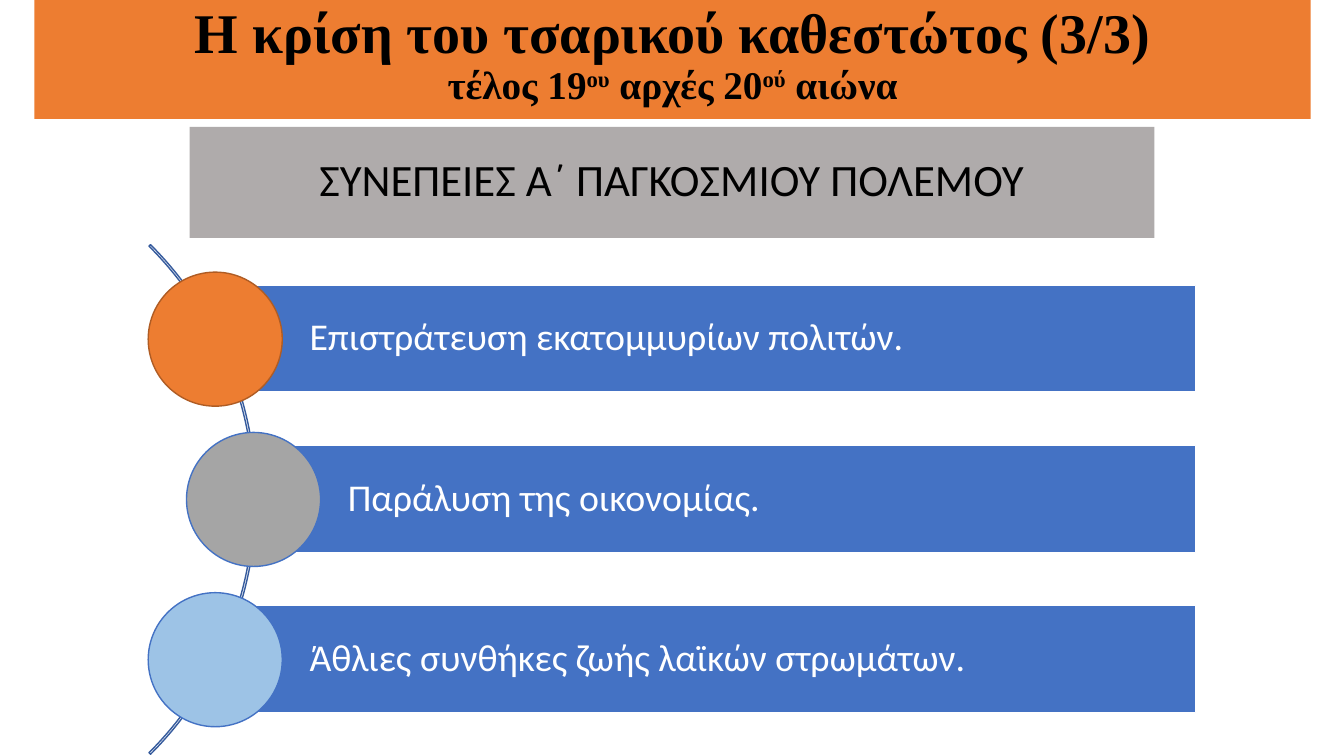
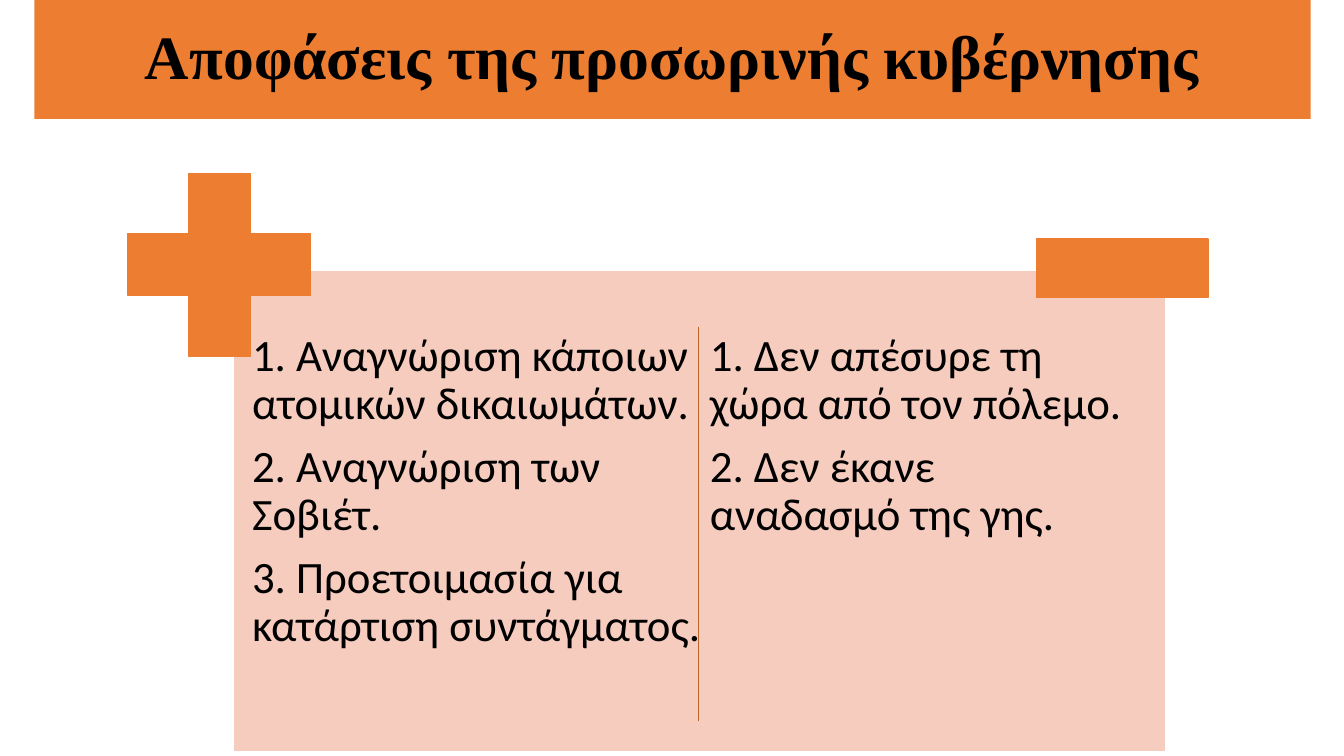
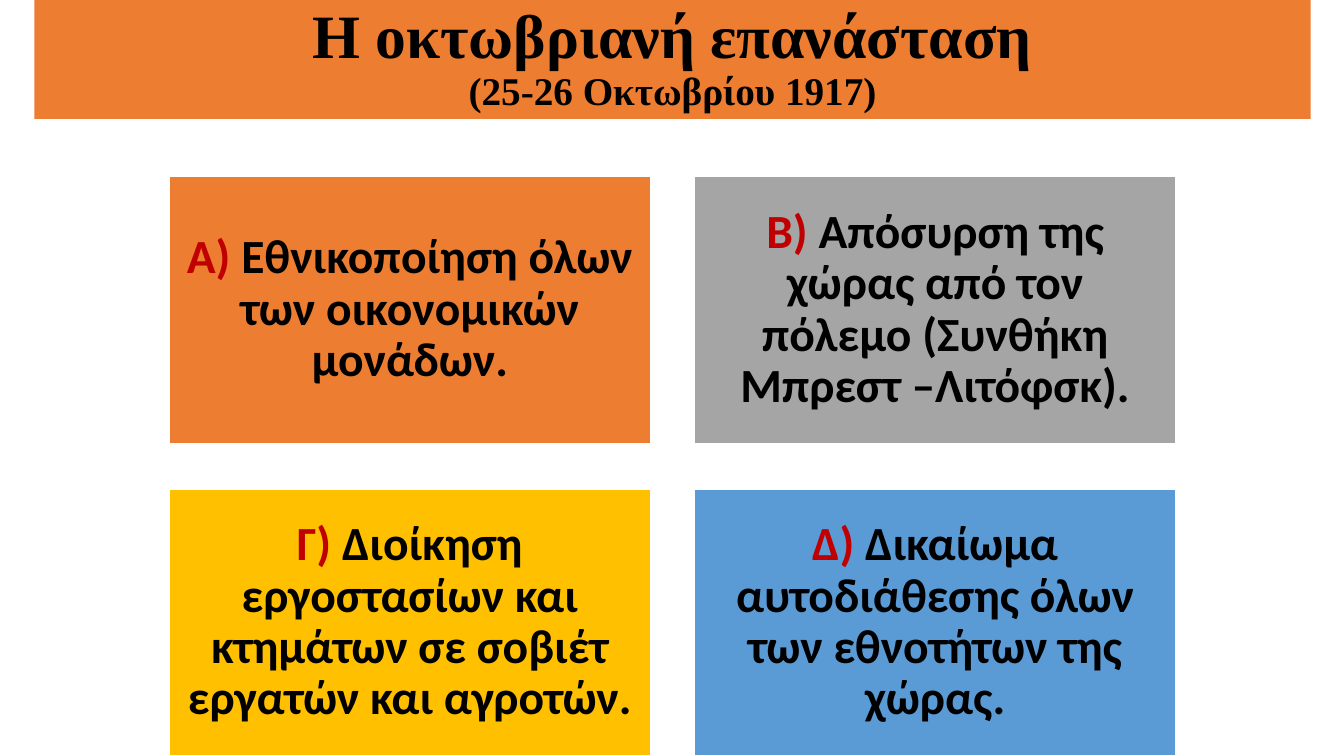
from lxml.etree import SubElement
from pptx import Presentation
from pptx.dml.color import RGBColor
from pptx.enum.shapes import MSO_CONNECTOR, MSO_SHAPE
from pptx.enum.text import MSO_ANCHOR, PP_ALIGN
from pptx.oxml.ns import qn
from pptx.util import Pt

PX = 9144
SLIDE_SIZE = (1333, 750)
TITLE_BAND = (34, 0, 1266, 118)
TITLE_FONT, BODY_FONT = "Times New Roman", "Calibri"
COLORS = {
    "black": "000000", "white": "FFFFFF", "red": "C00000",
    "orange": "ED7D31", "gray": "A5A5A5", "warm_gray": "AFABAB",
    "blue": "4472C4", "pale_blue": "9DC3E6", "sky": "5B9BD5",
    "gold": "FFC000", "pink": "F6CCBE",
    "arc_line": "365B9D", "rust": "AF5C24", "divider": "BE6427",
}

CRISIS_TITLE = [
    ("Η κρίση του τσαρικού καθεστώτος (3/3)", {"size": 40}),
    "\n",
    "τέλος 19",
    ("ου", {"raised": True}),
    " αρχές 20",
    ("ού", {"raised": True}),
    " αιώνα",
]
WAR_HEADING = "ΣΥΝΕΠΕΙΕΣ Α΄ ΠΑΓΚΟΣΜΙΟΥ ΠΟΛΕΜΟΥ"
CONSEQUENCES = [
    ("Επιστράτευση εκατομμυρίων πολιτών.", 147, "orange", "rust"),
    ("Παράλυση της οικονομίας.", 185, "gray", "blue"),
    ("Άθλιες συνθήκες ζωής λαϊκών στρωμάτων.", 147, "pale_blue", "blue"),
]

DECISIONS_TITLE = ["Αποφάσεις της προσωρινής κυβέρνησης"]
DECISIONS = [
    ((243, 323, 461, 409), [
        "1. Αναγνώριση κάποιων ατομικών δικαιωμάτων.",
        "2. Αναγνώριση των Σοβιέτ.",
        "3. Προετοιμασία για κατάρτιση συντάγματος.",
    ]),
    ((697, 323, 429, 409), [
        "1. Δεν απέσυρε τη χώρα από τον πόλεμο.",
        "2. Δεν έκανε αναδασμό της γης.",
    ]),
]

OCTOBER_TITLE = [
    ("Η οκτωβριανή επανάσταση", {"size": 44}),
    "\n",
    "(25-26 Οκτωβρίου 1917)",
]
MEASURES = [
    ("Α) ", "Εθνικοποίηση όλων των οικονομικών μονάδων.", "orange"),
    ("Β) ", "Απόσυρση της χώρας από τον πόλεμο (Συνθήκη Μπρεστ –Λιτόφσκ).", "gray"),
    ("Γ) ", "Διοίκηση εργοστασίων και κτημάτων σε σοβιέτ εργατών και αγροτών.", "gold"),
    ("Δ) ", "Δικαίωμα αυτοδιάθεσης όλων των εθνοτήτων της χώρας.", "sky"),
]


def rgb(name):
    return RGBColor.from_string(COLORS[name])


def emu(lengths):
    return [length * PX for length in lengths]


def add_figure(slide, kind, box, fill=None, line=None, adjustments=()):
    figure = slide.shapes.add_shape(kind, *emu(box))
    figure.shadow.inherit = False
    for index, value in enumerate(adjustments):
        figure.adjustments[index] = value
    if fill:
        figure.fill.solid()
        figure.fill.fore_color.rgb = rgb(fill)
    else:
        figure.fill.background()
    if line:
        figure.line.color.rgb = rgb(line)
        figure.line.width = Pt(1)
    else:
        figure.line.fill.background()
    return figure


def write(holder, paragraphs, size, font=BODY_FONT, color="black", bold=False,
          align=PP_ALIGN.LEFT, anchor=MSO_ANCHOR.MIDDLE, insets=(10, 5, 10, 5), gap=0):
    frame = holder.text_frame
    frame.word_wrap = True
    frame.vertical_anchor = anchor
    (frame.margin_left, frame.margin_top,
     frame.margin_right, frame.margin_bottom) = emu(insets)
    for index, pieces in enumerate(paragraphs):
        paragraph = frame.add_paragraph() if index else frame.paragraphs[0]
        paragraph.alignment = align
        paragraph.line_spacing = 0.9
        paragraph.space_after = Pt(gap)
        for piece in [pieces] if isinstance(pieces, str) else pieces:
            text, own = (piece, {}) if isinstance(piece, str) else piece
            if text == "\n":
                paragraph.add_line_break()
                continue
            run = paragraph.add_run()
            run.text = text
            run.font.name = font
            run.font.size = Pt(own.get("size", size))
            run.font.bold = bold
            run.font.color.rgb = rgb(own.get("color", color))
            if own.get("raised"):
                run.font._element.set("baseline", "30000")


def add_titled_slide(deck, title, size, anchor=MSO_ANCHOR.MIDDLE):
    slide = deck.slides.add_slide(deck.slide_layouts[6])
    band = add_figure(slide, MSO_SHAPE.RECTANGLE, TITLE_BAND, "orange")
    write(band, [title], size, font=TITLE_FONT, bold=True,
          align=PP_ALIGN.CENTER, anchor=anchor)
    return slide


def build_crisis(deck):
    slide = add_titled_slide(deck, CRISIS_TITLE, 28, MSO_ANCHOR.TOP)
    heading = add_figure(slide, MSO_SHAPE.RECTANGLE, (188, 126, 957, 110), "warm_gray")
    write(heading, [WAR_HEADING], 32, align=PP_ALIGN.CENTER)
    add_figure(slide, MSO_SHAPE.BLOCK_ARC, (-461, 138, 715, 715),
               line="arc_line", adjustments=(189, 27, 0.003))
    diameter, pitch, bar_height, bar_right = 133, 159, 106, 1186
    for row, (text, left, fill, line) in enumerate(CONSEQUENCES):
        top = 270 + row * pitch
        bar_left = left + 76
        bar = add_figure(slide, MSO_SHAPE.RECTANGLE,
                         (bar_left, top + 13, bar_right - bar_left, bar_height),
                         "blue", "white")
        write(bar, [text], 27, color="white", insets=(84, 7, 7, 7))
        add_figure(slide, MSO_SHAPE.OVAL, (left, top, diameter, diameter), fill, line)


def build_decisions(deck):
    slide = add_titled_slide(deck, DECISIONS_TITLE, 44)
    add_figure(slide, MSO_SHAPE.RECTANGLE, (231, 268, 925, 478), "pink", "white")
    for box, decisions in DECISIONS:
        column = slide.shapes.add_textbox(*emu(box))
        write(column, decisions, 32, anchor=MSO_ANCHOR.TOP, insets=(7, 7, 7, 7), gap=10)
    add_figure(slide, MSO_SHAPE.CROSS, (127, 172, 181, 181), "orange", "orange", (0.33,))
    add_figure(slide, MSO_SHAPE.RECTANGLE, (1028, 237, 170, 58), "orange", "orange")
    divider = slide.shapes.add_connector(MSO_CONNECTOR.STRAIGHT, *emu((693, 324, 693, 715)))
    divider.line.color.rgb = rgb("divider")
    divider.line.width = Pt(1)
    SubElement(divider._element.spPr, qn("a:effectLst"))


def build_october(deck):
    slide = add_titled_slide(deck, OCTOBER_TITLE, 28)
    width, height, columns = 477, 265, 2
    for index, (letter, text, fill) in enumerate(MEASURES):
        row, column = divmod(index, columns)
        box = (168 + column * (width + 44), 175 + row * (height + 45), width, height)
        measure = add_figure(slide, MSO_SHAPE.RECTANGLE, box, fill, "white")
        write(measure, [[(letter, {"color": "red"}), text]], 34, bold=True,
              align=PP_ALIGN.CENTER, insets=(14, 14, 14, 14))


def main():
    deck = Presentation()
    deck.slide_width, deck.slide_height = emu(SLIDE_SIZE)
    build_crisis(deck)
    build_decisions(deck)
    build_october(deck)
    deck.save("out.pptx")


if __name__ == "__main__":
    main()
